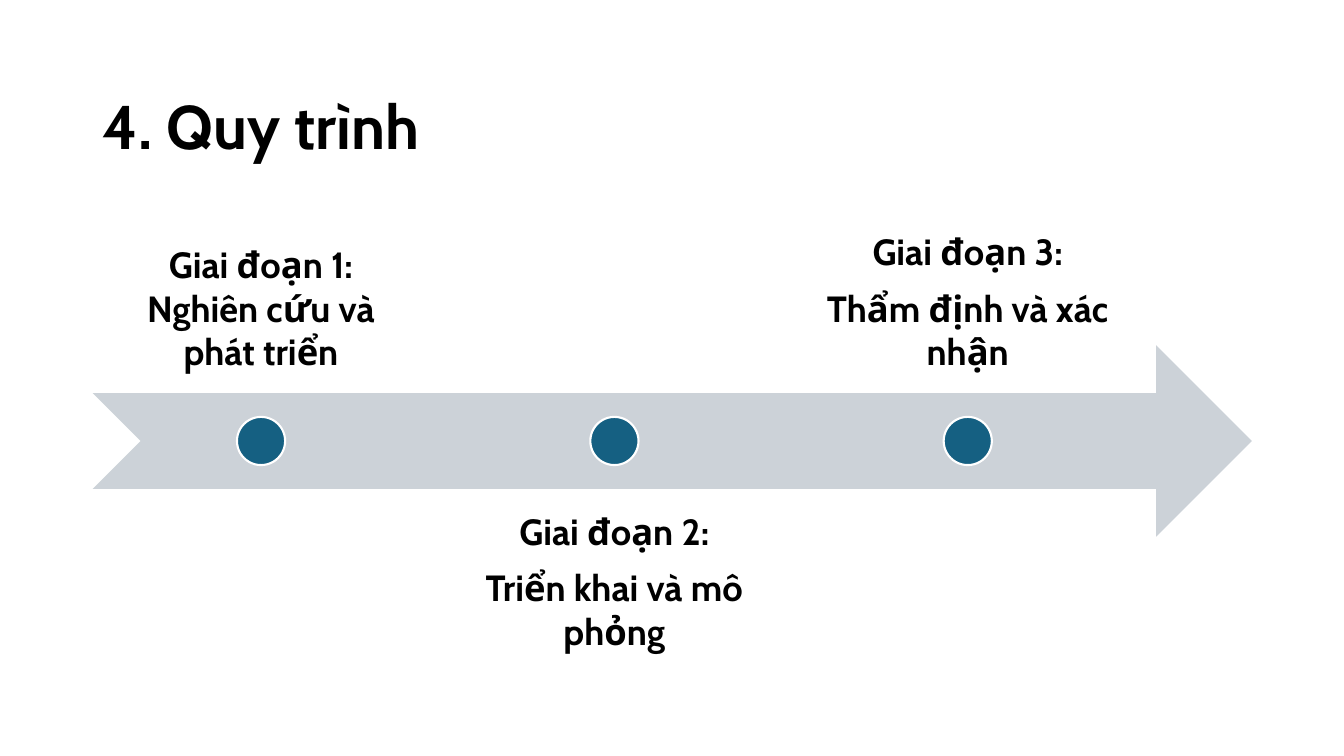
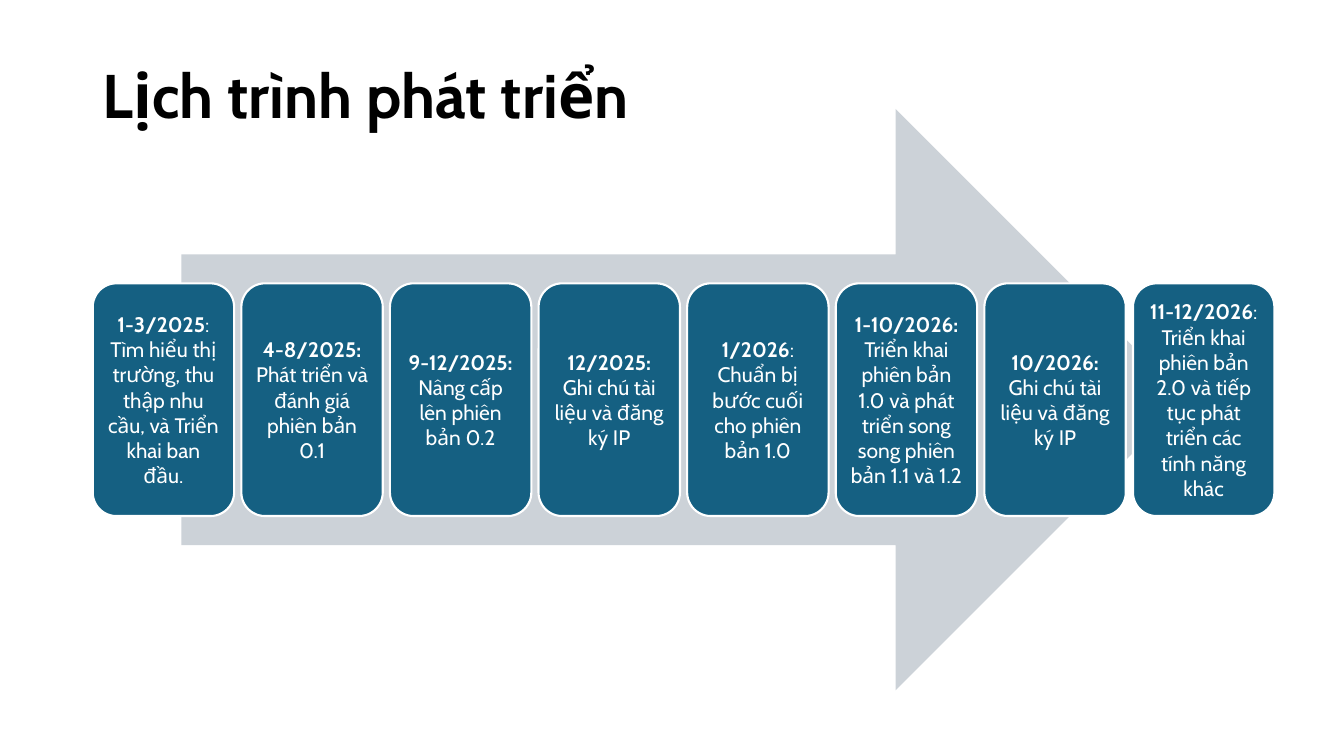
"""Build two slides: the three-stage process and the development schedule."""
from pptx import Presentation
from pptx.dml.color import RGBColor
from pptx.enum import shapes, text
from pptx.util import Pt

BLACK = RGBColor(0x00, 0x00, 0x00)
WHITE = RGBColor(0xFF, 0xFF, 0xFF)
TEAL = RGBColor(0x15, 0x60, 0x82)
SILVER = RGBColor(0xCC, 0xD2, 0xD8)
KIND = shapes.MSO_SHAPE
ANCHOR = text.MSO_ANCHOR
ALIGN = text.PP_ALIGN
LEFT = 66.24

STAGES = [
    ["Giai đoạn 1: Nghiên cứu và phát triển"],
    ["Giai đoạn 2:", "Triển khai và mô phỏng"],
    ["Giai đoạn 3:", "Thẩm định và xác nhận"],
]
SCHEDULE = [
    ("1-3/2025", ": Tìm hiểu thị trường, thu thập nhu cầu, và Triển khai ban đầu."),
    ("4-8/2025: ", "Phát triển và đánh giá phiên bản 0.1"),
    ("9-12/2025: ", "Nâng cấp lên phiên bản 0.2"),
    ("12/2025: ", "Ghi chú tài liệu và đăng ký IP"),
    ("1/2026", ": Chuẩn bị bước cuối cho phiên bản 1.0"),
    ("1-10/2026: ", "Triển khai phiên bản 1.0 và phát triển song song phiên bản 1.1 và 1.2"),
    ("10/2026: ", "Ghi chú tài liệu và đăng ký IP"),
    ("11-12/2026", ": Triển khai phiên bản 2.0 và tiếp tục phát triển các tính năng khác"),
]


def apply(target, values):
    """Set each named attribute of the target."""
    for name, value in values.items():
        setattr(target, name, value)


class Slides:
    """Hold the shared style and the slide being built."""

    font = "Cabin"

    def __init__(self):
        """Start a widescreen deck."""
        self.deck = Presentation()
        apply(self.deck, {"slide_width": Pt(960), "slide_height": Pt(540)})
        self.page = None

    def start(self, title, top):
        """Add a title-only slide and format its title."""
        self.page = self.deck.slides.add_slide(self.deck.slide_layouts[5])
        box = self.page.shapes.title
        apply(box, {"left": Pt(LEFT), "top": Pt(top), "width": Pt(828), "height": Pt(78.5)})
        self.fill_text(box, [[(title, True)]], 44, BLACK, ANCHOR.MIDDLE, align=ALIGN.LEFT, leading=0.9)

    def fill_text(self, box, paras, size, color, anchor, inset=None, align=ALIGN.CENTER, leading=1.0):
        """Fill a box with paragraphs made of (text, bold) spans."""
        frame = box.text_frame
        apply(frame, {"word_wrap": True, "auto_size": text.MSO_AUTO_SIZE.NONE,
                      "vertical_anchor": anchor})
        if inset is not None:
            apply(frame, {f"margin_{side}": Pt(inset) for side in ("left", "top", "right", "bottom")})
        for index, spans in enumerate(paras):
            para = frame.add_paragraph() if index else frame.paragraphs[0]
            apply(para, {"alignment": align, "line_spacing": leading,
                         "space_before": Pt(0.35 * size if index else 0)})
            for words, bold in spans:
                span = para.add_run()
                span.text = words
                apply(span.font, {"name": self.font, "size": Pt(size), "bold": bold})
                span.font.color.rgb = color

    def shape(self, kind, left, top, width, height, fill, outlined=True):
        """Add a flat preset shape, with a white outline if asked."""
        box = self.page.shapes.add_shape(kind, Pt(left), Pt(top), Pt(width), Pt(height))
        box.shadow.inherit = False
        box.fill.solid()
        box.fill.fore_color.rgb = fill
        if outlined:
            box.line.color.rgb = WHITE
            box.line.width = Pt(1.5)
        else:
            box.line.fill.background()
        return box

    def label(self, left, top, width, height, lines, anchor):
        """Add a bold centred stage label."""
        box = self.page.shapes.add_textbox(Pt(left), Pt(top), Pt(width), Pt(height))
        self.fill_text(box, [[(line, True)] for line in lines], 26, BLACK, anchor, inset=14.4)

    def card(self, left, top, width, height, spans):
        """Add a rounded schedule card."""
        box = self.shape(KIND.ROUNDED_RECTANGLE, left, top, width, height, TEAL)
        self.fill_text(box, [spans], 15, WHITE, ANCHOR.MIDDLE, inset=4.5)


def build_process(slides):
    """Draw the three stages along a notched arrow."""
    middle, arrow_height, dot, width, step = 315, 136.8, 34.4, 240.5, 252.4
    slides.start("4. Quy trình", 53.3)
    slides.shape(KIND.NOTCHED_RIGHT_ARROW, LEFT, middle - arrow_height / 2, 828, arrow_height,
                 SILVER, outlined=False)
    for index, lines in enumerate(STAGES):
        left = LEFT + index * step
        below = index % 2
        slides.label(left, 349.2 if below else 144, width, arrow_height, lines,
                     ANCHOR.TOP if below else ANCHOR.BOTTOM)
        slides.shape(KIND.OVAL, left + (width - dot) / 2, middle - dot / 2, dot, dot, TEAL)


def build_schedule(slides):
    """Draw the dated cards over a wide arrow."""
    slides.start("Lịch trình phát triển", 31)
    slides.shape(KIND.RIGHT_ARROW, 129.6, 77.8, 717.8, 415.4, SILVER, outlined=False)
    for index, (date, task) in enumerate(SCHEDULE):
        slides.card(LEFT + index * 106.15, 202.4, 101, 166.2, [(date, True), (task, False)])


def main():
    """Build and save the deck."""
    slides = Slides()
    build_process(slides)
    build_schedule(slides)
    slides.deck.save("out.pptx")


if __name__ == "__main__":
    main()
